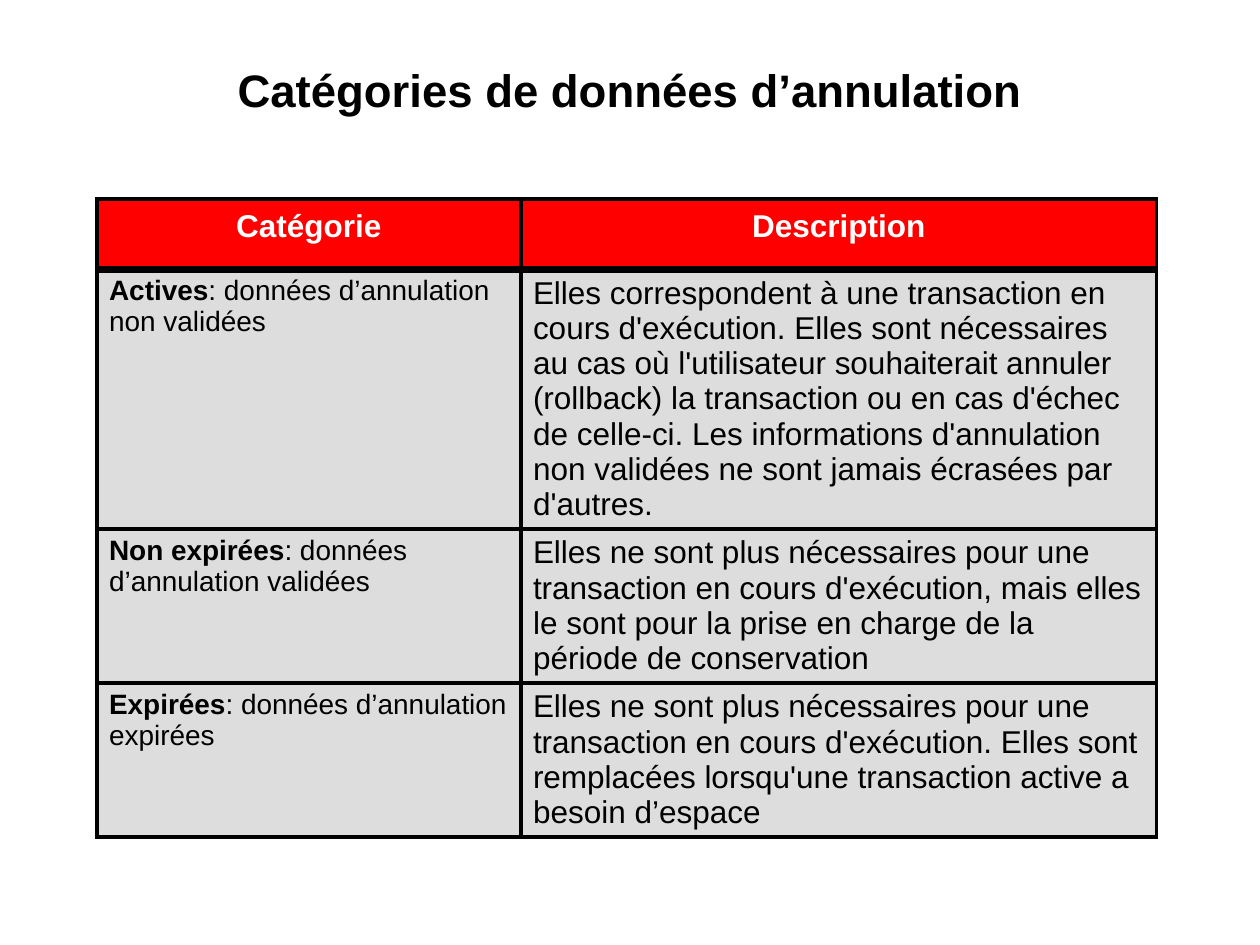
from dataclasses import dataclass
from pptx import Presentation
from pptx.dml.color import RGBColor
from pptx.enum.text import MSO_ANCHOR, PP_ALIGN
from pptx.oxml import parse_xml
from pptx.oxml.ns import nsdecls
from pptx.util import Pt


@dataclass(frozen=True)
class Theme:
    """Colours, font and sizes of the slide."""
    font: str = "Arial"
    black: str = "000000"
    white: str = "FFFFFF"
    header: str = "FF0000"
    body: str = "DDDDDD"
    title_size: float = 26
    large: float = 18
    small: float = 16
    line: float = 2.25
    heavy_line: float = 4.5


THEME = Theme()
HEADINGS = ("Catégorie", "Description")
CATEGORIES = (
    ("Actives", ": données d’annulation non validées",
     ("Elles correspondent à une transaction en",
      "cours d'exécution. Elles sont nécessaires au cas où l'utilisateur "
      "souhaiterait annuler (rollback) la transaction ou en cas d'échec de "
      "celle-ci. Les informations d'annulation non validées ne sont jamais "
      "écrasées par d'autres.")),
    ("Non expirées", ": données d’annulation validées",
     ("Elles ne sont plus nécessaires pour une transaction en cours "
      "d'exécution, mais elles le sont pour la prise en charge de la période "
      "de conservation",)),
    ("Expirées", ": données d’annulation expirées",
     ("Elles ne sont plus nécessaires pour une",
      "transaction en cours d'exécution. Elles sont remplacées lorsqu'une "
      "transaction active a besoin d’espace")),
)


def set_values(target, values):
    """Set each attribute named in values on the target."""
    for name, value in values.items():
        setattr(target, name, value)


def write(frame, paragraphs, size, color=THEME.black, align=PP_ALIGN.LEFT):
    """Write paragraphs, each a list of (text, bold) spans."""
    for index, spans in enumerate(paragraphs):
        para = frame.paragraphs[0] if index == 0 else frame.add_paragraph()
        set_values(para, {"alignment": align, "space_before": Pt(0)})
        for text, bold in spans:
            span = para.add_run()
            span.text = text
            set_values(span.font, {"name": THEME.font, "size": Pt(size), "bold": bold})
            span.font.color.rgb = RGBColor.from_string(color)


def style_cell(cell, fill, inset, top, bottom):
    """Fill a cell, set its vertical inset and draw its four borders."""
    set_values(cell, {"margin_left": Pt(7), "margin_right": Pt(7),
                      "margin_top": Pt(inset), "margin_bottom": Pt(inset),
                      "vertical_anchor": MSO_ANCHOR.TOP})
    properties = cell._tc.get_or_add_tcPr()
    widths = {"L": THEME.line, "R": THEME.line, "T": top, "B": bottom}
    for side, width in widths.items():
        properties.append(parse_xml(
            f'<a:ln{side} {nsdecls("a")} w="{Pt(width)}"><a:solidFill>'
            f'<a:srgbClr val="{THEME.black}"/></a:solidFill></a:ln{side}>'))
    cell.fill.solid()
    cell.fill.fore_color.rgb = RGBColor.from_string(fill)


def add_title(page, box, text):
    """Place the title in the given box."""
    title = page.shapes.title
    set_values(title, dict(zip(("left", "top", "width", "height"), map(Pt, box))))
    frame = title.text_frame
    set_values(frame, {"word_wrap": True, "vertical_anchor": MSO_ANCHOR.TOP})
    set_values(frame, {f"margin_{side}": Pt(1) for side in ("left", "top", "right", "bottom")})
    write(frame, [[(text, True)]], THEME.title_size, align=PP_ALIGN.CENTER)


def add_category_table(page, box, first_share, heights):
    """Place the table of categories in the given box."""
    left, top, width, height = box
    table = page.shapes.add_table(len(heights), 2, *map(Pt, box)).table
    set_values(table, {"first_row": True, "horz_banding": False})
    for column, share in zip(table.columns, (first_share, 1 - first_share)):
        column.width = Pt(width * share)
    for row, row_height in zip(table.rows, heights):
        row.height = Pt(row_height)
    for column, heading in enumerate(HEADINGS):
        cell = table.cell(0, column)
        style_cell(cell, THEME.header, 5.8, THEME.line, THEME.heavy_line)
        write(cell.text_frame, [[(heading, True)]], THEME.large, THEME.white, PP_ALIGN.CENTER)
    for row, (name, meaning, description) in enumerate(CATEGORIES, 1):
        edge = THEME.heavy_line if row == 1 else THEME.line
        for column in range(2):
            style_cell(table.cell(row, column), THEME.body, 3.6, edge, THEME.line)
        write(table.cell(row, 0).text_frame, [[(name, True), (meaning, False)]], THEME.small)
        write(table.cell(row, 1).text_frame, [[(text, False)] for text in description], THEME.large)


def build():
    """Build and save the deck."""
    deck = Presentation()
    set_values(deck, {"slide_width": Pt(720), "slide_height": Pt(540)})
    page = deck.slides.add_slide(deck.slide_layouts[5])
    add_title(page, (48, 34.5, 624, 69), "Catégories de données d’annulation")
    add_category_table(page, (55.4, 113.8, 605.6, 364.5), 0.4, (40, 148.5, 88, 88))
    deck.save("out.pptx")


build()
